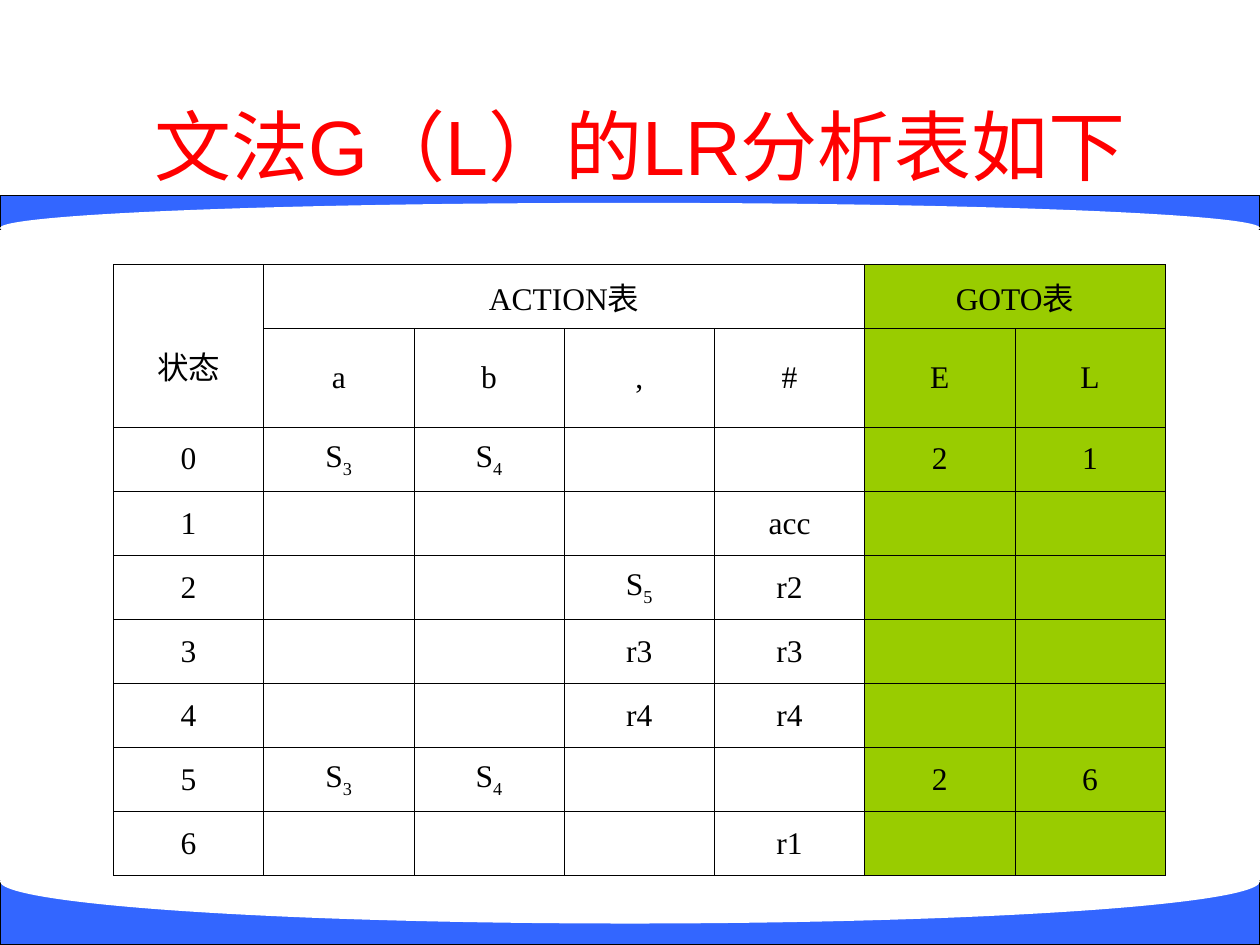
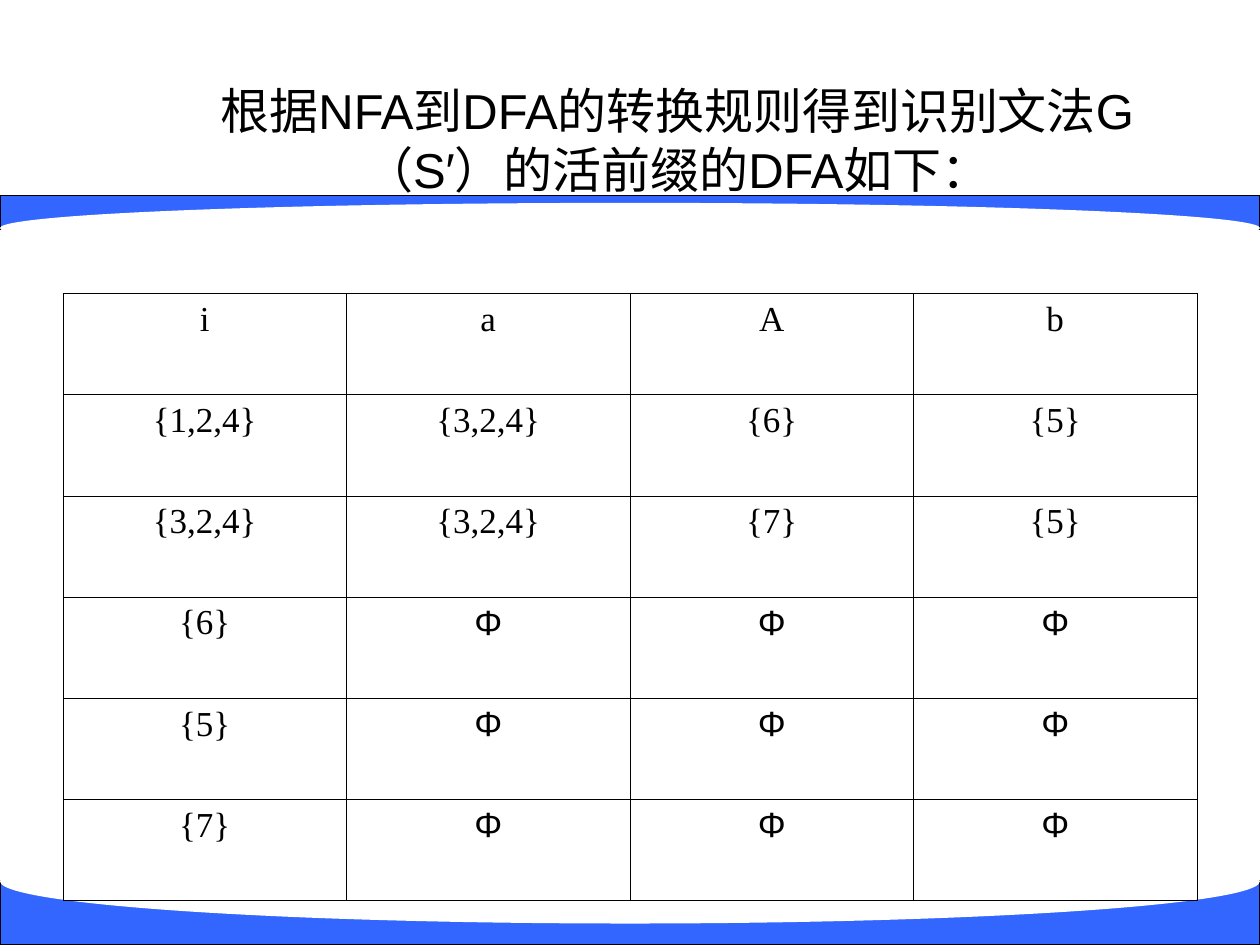
from pptx import Presentation
from pptx import util as u
from pptx.dml.color import RGBColor
from pptx.enum import shapes, text
from pptx.oxml import parse_xml
from pptx.oxml.ns import nsdecls

COLORS = {"band": "3366FF", "paper": "FFFFFF", "ink": "000000",
          "title": "FF0000", "goto": "99CC00"}
HEADING_FONT, TABLE_FONT = "Arial", "Times New Roman"

deck = Presentation()
deck.slide_width, deck.slide_height = u.Inches(10), u.Inches(7.5)
layout = deck.slide_layouts[5]


def area(left, top, width, height):
    """Turn percentages of the slide into left, top, width and height."""
    across, down = deck.slide_width / 100, deck.slide_height / 100
    return [round(n) for n in (left * across, top * down, width * across, height * down)]


def add_grid(page, region, rows, row_weights, size, anchor):
    """Add a ruled table; an underscore in a cell starts a subscript."""
    left, top, width, height = area(*region)
    columns = len(rows[0])
    table = page.shapes.add_table(len(rows), columns, left, top, width, height).table
    table.first_row = table.horz_banding = False
    for column in table.columns:
        column.width = round(width / columns)
    for row, weight in zip(table.rows, row_weights):
        row.height = round(height * weight / sum(row_weights))
    for r, row in enumerate(rows):
        for c, words in enumerate(row):
            cell = table.cell(r, c)
            cell.vertical_anchor = anchor
            properties = cell._tc.get_or_add_tcPr()
            for side in "LRTB":
                properties.append(parse_xml(
                    f'<a:ln{side} {nsdecls("a")} w="{u.Pt(0.45)}"><a:solidFill>'
                    f'<a:srgbClr val="{COLORS["ink"]}"/></a:solidFill></a:ln{side}>'))
            cell.fill.background()
            para = cell.text_frame.paragraphs[0]
            para.alignment = text.PP_ALIGN.CENTER
            para.font.size = u.Pt(size)
            para.font.name = HEADING_FONT if words == "Φ" else TABLE_FONT
            para.font.color.rgb = RGBColor.from_string(COLORS["ink"])
            base, _, subscript = words.partition("_")
            if base:
                para.add_run().text = base
            if subscript:
                span = para.add_run()
                span.text = subscript
                span.font._element.set("baseline", "-25000")
    return table


# Slides and their titles
titles = [
    ("文法G（L）的LR分析表如下", (5.8, 6.93, 90, 16.67), 44, "title"),
    ("根据NFA到DFA的转换规则得到识别文法G（S′）的活前缀的DFA如下：",
     (12.5, 6.93, 82.5, 15.73), 28, "ink"),
]
pages = []
for words, region, size, color in titles:
    page = deck.slides.add_slide(layout)
    box = page.shapes.title
    box.left, box.top, box.width, box.height = area(*region)
    frame = box.text_frame
    frame.text = words
    frame.auto_size = text.MSO_AUTO_SIZE.NONE
    frame.vertical_anchor = text.MSO_ANCHOR.MIDDLE
    para = frame.paragraphs[0]
    para.alignment = text.PP_ALIGN.CENTER
    para.font.size, para.font.name = u.Pt(size), HEADING_FONT
    para.font.color.rgb = RGBColor.from_string(COLORS[color])
    pages.append(page)

# Curved bands, moved to the layout so that both slides share them
RECTANGLE, OVAL = shapes.MSO_SHAPE.RECTANGLE, shapes.MSO_SHAPE.OVAL
bands = [(RECTANGLE, 20.67, 3.6), (OVAL, 21.47, 5.33),
         (RECTANGLE, 93.2, 6.8), (OVAL, 88.8, 8.93)]
for index, (kind, top, height) in enumerate(bands):
    band = pages[0].shapes.add_shape(kind, *area(0, top, 100, height))
    band.shadow.inherit = False
    band.fill.solid()
    if kind == RECTANGLE:
        band.fill.fore_color.rgb = RGBColor.from_string(COLORS["band"])
        band.line.color.rgb = RGBColor.from_string(COLORS["ink"])
        band.line.width = u.Pt(0.75)
    else:
        band.fill.fore_color.rgb = RGBColor.from_string(COLORS["paper"])
        band.line.fill.background()
    band.element.nvSpPr.cNvPr.set("id", str(20 + index))
    layout.shapes.element.insert(2 + index, band.element)

# LR parsing table
lr_rows = [
    ["状态", "ACTION表", "", "", "", "GOTO表", ""],
    ["", "a", "b", ",", "#", "E", "L"],
    ["0", "S_3", "S_4", "", "", "2", "1"],
    ["1", "", "", "", "acc", "", ""],
    ["2", "", "", "S_5", "r2", "", ""],
    ["3", "", "", "r3", "r3", "", ""],
    ["4", "", "", "r4", "r4", "", ""],
    ["5", "S_3", "S_4", "", "", "2", "6"],
    ["6", "", "", "", "r1", "", ""],
]
lr_table = add_grid(pages[0], (9, 28, 83.5, 63.07), lr_rows,
                    [51, 66] + [51] * 7, 18, text.MSO_ANCHOR.MIDDLE)
for r in range(len(lr_rows)):
    for c in (5, 6):
        fill = lr_table.cell(r, c).fill
        fill.solid()
        fill.fore_color.rgb = RGBColor.from_string(COLORS["goto"])
for first, last in (((0, 0), (1, 0)), ((0, 1), (0, 4)), ((0, 5), (0, 6))):
    lr_table.cell(*first).merge(lr_table.cell(*last))
lr_table.cell(0, 0).margin_top = u.Inches(0.37)

# Subset construction of the DFA
dfa_rows = [
    ["i", "a", "A", "b"],
    ["{1,2,4}", "{3,2,4}", "{6}", "{5}"],
    ["{3,2,4}", "{3,2,4}", "{7}", "{5}"],
] + [[state] + ["Φ"] * 3 for state in ("{6}", "{5}", "{7}")]
add_grid(pages[1], (5, 31.07, 90, 64.27), dfa_rows,
         [1] * len(dfa_rows), 20, text.MSO_ANCHOR.TOP)

deck.save("out.pptx")
